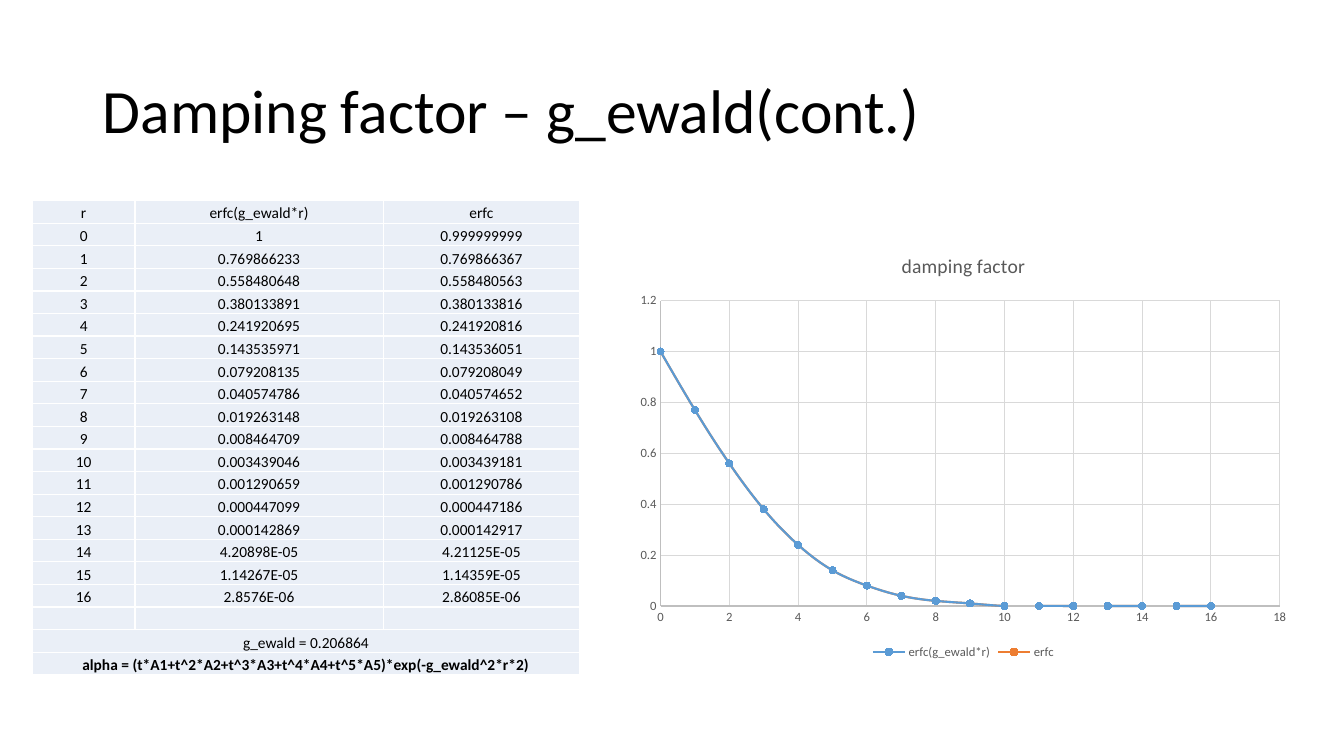
"""Build the damping factor slide: a table of erfc values beside their scatter chart."""
from lxml.etree import SubElement
from pptx import Presentation
from pptx.chart.data import XyChartData
from pptx.dml.color import RGBColor
from pptx.enum.chart import XL_CHART_TYPE as ChartType, XL_LEGEND_POSITION as LegendPos
from pptx.enum.chart import XL_MARKER_STYLE as Marker, XL_TICK_MARK as Tick
from pptx.enum.text import MSO_ANCHOR as Anchor, PP_ALIGN as Align
from pptx.oxml import parse_xml
from pptx.oxml.ns import nsdecls, qn
from pptx.util import Inches, Pt

COLORS = {"text": "000000", "muted": "595959", "cell": "EAEFF7", "border": "FFFFFF",
          "axis": "BFBFBF", "grid": "D9D9D9", "exact": "5B9BD5", "approx": "ED7D31"}
HEADERS = ["r", "erfc(g_ewald*r)", "erfc"]
EXACT = ["1", "0.769866233", "0.558480648", "0.380133891", "0.241920695", "0.143535971",
         "0.079208135", "0.040574786", "0.019263148", "0.008464709", "0.003439046",
         "0.001290659", "0.000447099", "0.000142869", "4.20898E-05", "1.14267E-05",
         "2.8576E-06"]
APPROX = ["0.999999999", "0.769866367", "0.558480563", "0.380133816", "0.241920816",
          "0.143536051", "0.079208049", "0.040574652", "0.019263108", "0.008464788",
          "0.003439181", "0.001290786", "0.000447186", "0.000142917", "4.21125E-05",
          "1.14359E-05", "2.86085E-06"]
FORMULAS = ["g_ewald = 0.206864",
            "alpha = (t*A1+t^2*A2+t^3*A3+t^4*A4+t^5*A5)*exp(-g_ewald^2*r*2)"]


def style_font(font, size, color, bold=False):
    font.name = "Calibri"
    font.size = Pt(size)
    font.bold = bold
    font.color.rgb = RGBColor.from_string(COLORS[color])


def style_line(line, width, color):
    line.width = Pt(width)
    line.color.rgb = RGBColor.from_string(COLORS[color])


deck = Presentation()
deck.slide_width, deck.slide_height = Inches(13.33), Inches(7.5)
slide = deck.slides.add_slide(deck.slide_layouts[6])

title = slide.shapes.add_textbox(Inches(0.92), Inches(0.4), Inches(11.5), Inches(1.45)).text_frame
title.word_wrap = True
title.vertical_anchor = Anchor.MIDDLE
title.paragraphs[0].line_spacing = 0.9
heading = title.paragraphs[0].add_run()
heading.text = "Damping factor – g_ewald(cont.)"
style_font(heading.font, 44, "text")

samples = [[str(r), exact, approx] for r, (exact, approx) in enumerate(zip(EXACT, APPROX))]
rows = [HEADERS, *samples, ["", "", ""], *[[formula, "", ""] for formula in FORMULAS]]
values = slide.shapes.add_table(len(rows), len(HEADERS), Inches(0.32), Inches(1.99),
                                Inches(5.43), Inches(4.71)).table
values.first_row = values.horz_banding = False
for column, width in zip(values.columns, [1.02, 2.46, 1.95]):
    column.width = Inches(width)
for row_index, row in enumerate(rows):
    for column_index, entry in enumerate(row):
        cell = values.cell(row_index, column_index)
        cell.margin_left = cell.margin_right = cell.margin_top = Inches(0.01)
        cell.margin_bottom = 0
        cell.vertical_anchor = Anchor.BOTTOM
        cell.fill.solid()
        cell.fill.fore_color.rgb = RGBColor.from_string(COLORS["cell"])
        for position, side in enumerate("LRTB"):
            cell._tc.tcPr.insert(position, parse_xml(
                f'<a:ln{side} {nsdecls("a")} w="12700"><a:solidFill>'
                f'<a:srgbClr val="{COLORS["border"]}"/></a:solidFill></a:ln{side}>'))
        paragraph = cell.text_frame.paragraphs[0]
        paragraph.alignment = Align.CENTER
        if entry:
            run = paragraph.add_run()
            run.text = entry
            style_font(run.font, 11, "text", bold=entry == FORMULAS[-1])
        else:
            SubElement(paragraph._p, qn("a:endParaRPr"), sz="1100")
for row_index in range(len(rows) - len(FORMULAS), len(rows)):
    values.cell(row_index, 0).merge(values.cell(row_index, 2))

curves = XyChartData()
for name, numbers in zip(HEADERS[1:], [EXACT, APPROX]):
    curve = curves.add_series(name)
    for r, number in enumerate(numbers):
        curve.add_data_point(r, round(float(number), 2))
chart = slide.shapes.add_chart(ChartType.XY_SCATTER_SMOOTH, Inches(6.22), Inches(2.33),
                               Inches(6.67), Inches(4.25), curves).chart
style_font(chart.font, 10, "text")
chart.has_title = True
chart_title = chart.chart_title.text_frame.paragraphs[0].add_run()
chart_title.text = "damping factor"
style_font(chart_title.font, 14, "muted")
chart.chart_title.include_in_layout = False
chart.has_legend = True
chart.legend.position = LegendPos.BOTTOM
chart.legend.include_in_layout = False
style_font(chart.legend.font, 9, "muted")

for axis, top, step in [(chart.category_axis, 18, 2), (chart.value_axis, 1.2, 0.2)]:
    axis.minimum_scale, axis.maximum_scale, axis.major_unit = 0, top, step
    axis.major_tick_mark = axis.minor_tick_mark = Tick.NONE
    axis.has_major_gridlines = True
    style_line(axis.major_gridlines.format.line, 0.75, "grid")
    style_line(axis.format.line, 0.75, "axis")
    style_font(axis.tick_labels.font, 9, "muted")
    axis.tick_labels.number_format = "General"
    axis.tick_labels.number_format_is_linked = False

chart.plots[0].vary_by_categories = False
for curve, color in zip(chart.plots[0].series, ["exact", "approx"]):
    curve._element.get_or_add_smooth().set("val", "1")
    style_line(curve.format.line, 1.5, color)
    curve.marker.style = Marker.CIRCLE
    curve.marker.size = 5
    curve.marker.format.fill.solid()
    curve.marker.format.fill.fore_color.rgb = RGBColor.from_string(COLORS[color])
    style_line(curve.marker.format.line, 0.75, color)

deck.save("out.pptx")
